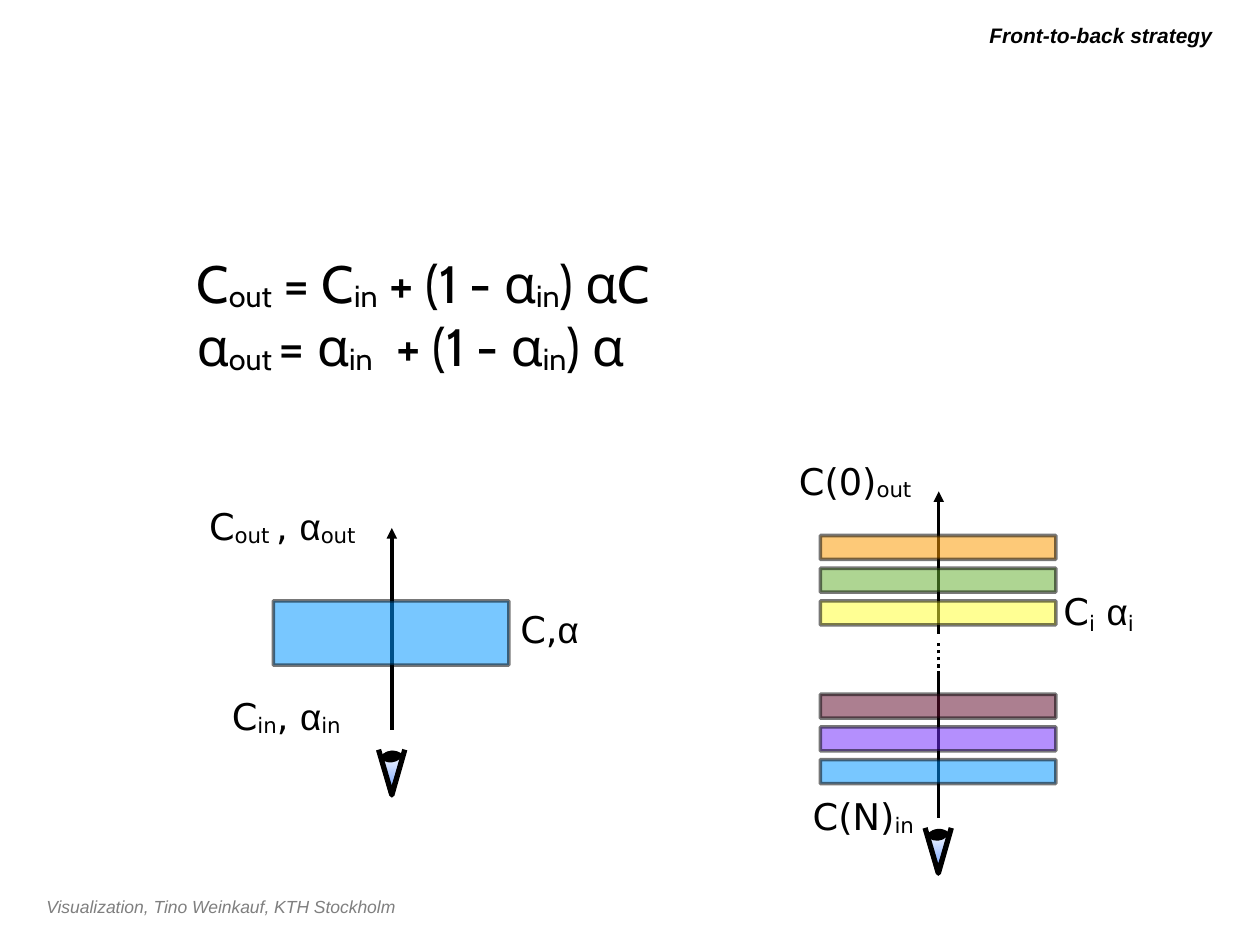
from lxml import etree
from pptx import Presentation
from pptx.dml.color import RGBColor
from pptx.enum.dml import MSO_LINE
from pptx.enum.shapes import MSO_CONNECTOR, MSO_SHAPE
from pptx.enum.text import MSO_ANCHOR, PP_ALIGN
from pptx.oxml.ns import qn
from pptx.util import Pt

STRAIGHT = MSO_CONNECTOR.STRAIGHT
DOTTED = MSO_LINE.ROUND_DOT
RECTANGLE, OVAL = MSO_SHAPE.RECTANGLE, MSO_SHAPE.OVAL
TOP, MIDDLE = MSO_ANCHOR.TOP, MSO_ANCHOR.MIDDLE
LEFT, RIGHT = PP_ALIGN.LEFT, PP_ALIGN.RIGHT

BLACK = RGBColor(0x00, 0x00, 0x00)
WHITE = RGBColor(0xFF, 0xFF, 0xFF)
GRAY = RGBColor(0x7F, 0x7F, 0x7F)
DARK = RGBColor(0x33, 0x33, 0x33)
EYE_BLUE = RGBColor(0x66, 0x99, 0xFF)
BLUE = RGBColor(0x00, 0x96, 0xFF)
PURPLE = RGBColor(0x72, 0x2C, 0xFD)
WINE = RGBColor(0x64, 0x0E, 0x2F)
YELLOW = RGBColor(0xFF, 0xFF, 0x33)
GREEN = RGBColor(0x66, 0xB1, 0x32)
ORANGE = RGBColor(0xFD, 0x9A, 0x00)


def add_caption(s, box, text, size, color, bold=False, align=LEFT):
    """Place an italic one-line caption in the box."""
    tf = s.shapes.add_textbox(*map(Pt, box)).text_frame
    tf.word_wrap = True
    p = tf.paragraphs[0]
    p.text, p.alignment = text, align
    font = p.runs[0].font
    font.name, font.size, font.color.rgb = "Arial", Pt(size), color
    font.bold, font.italic = bold, True


def add_math(s, box, lines, size=21, name="DejaVu Sans", greek="Arial", drop=-7, anchor=TOP):
    """Place lines whose pieces alternate between base text and subscript."""
    tf = s.shapes.add_textbox(*map(Pt, box)).text_frame
    tf.word_wrap, tf.vertical_anchor = False, anchor
    tf.margin_left = tf.margin_right = tf.margin_top = tf.margin_bottom = 0
    for i, pieces in enumerate(lines):
        p = tf.add_paragraph() if i else tf.paragraphs[0]
        for j, text in enumerate(pieces):
            if not text:
                continue
            r = p.add_run()
            r.text = text
            r.font.name = greek if text == "α" else name
            r.font.size, r.font.color.rgb = Pt(size), BLACK
            if j % 2:
                r.font._element.set("baseline", str(drop * 1000))


def add_ray(s, x, start, end, arrow=False, dash=None):
    """Draw a vertical ray from start to end, with an optional arrowhead."""
    line = s.shapes.add_connector(STRAIGHT, Pt(x), Pt(start), Pt(x), Pt(end))
    line.line.width, line.line.color.rgb = Pt(2), BLACK
    if dash:
        line.line.dash_style = dash
    if arrow:
        etree.SubElement(line.line._get_or_add_ln(), qn("a:tailEnd"), type="triangle")
    etree.SubElement(line._element.spPr, qn("a:effectLst"))


def add_slab(s, box, color):
    """Draw a see-through slab of the volume."""
    sp = s.shapes.add_shape(RECTANGLE, *map(Pt, box))
    sp.shadow.inherit = False
    sp.fill.solid()
    sp.fill.fore_color.rgb = color
    sp.line.color.rgb, sp.line.width = BLACK, Pt(2)
    for clr in sp._element.spPr.iter(qn("a:srgbClr")):
        etree.SubElement(clr, qn("a:alpha"), val="53000")


def bezier(points, steps=8):
    """Return points along a cubic curve, without its first point."""
    def at(t):
        weights = ((1 - t) ** 3, 3 * t * (1 - t) ** 2, 3 * t * t * (1 - t), t ** 3)
        return tuple(sum(w * pt[k] for w, pt in zip(weights, points)) for k in (0, 1))
    return [at(i / steps) for i in range(1, steps + 1)]


def add_eye(s, left, top):
    """Draw a viewer's eye looking up, 15 by 26 points."""
    shapes = s.shapes.add_group_shape().shapes

    def outline(points, width, close):
        fb = shapes.build_freeform(Pt(left + points[0][0]), Pt(top + points[0][1]))
        fb.add_line_segments([(Pt(left + x), Pt(top + y)) for x, y in points[1:]], close=close)
        sp = fb.convert_to_shape()
        sp.shadow.inherit = False
        sp.line.color.rgb, sp.line.width = BLACK, Pt(width)
        return sp

    corners = [(1.5, 5), (2.2, 8.6), (2.9, 9.4), (7.2, 25.2),
               (10.8, 14.4), (11.5, 12.2), (13.7, 4.3),
               (12.2, 2.2), (6.5, -0.7), (1.5, 5)]
    edge = corners[:1]
    for i in (0, 3, 6):
        edge += bezier(corners[i:i + 4])
    ball = outline(edge, 2.25, True)
    ball.fill.gradient()
    ball.fill.gradient_angle = 90
    for stop, color in zip(ball.fill.gradient_stops, (EYE_BLUE, WHITE)):
        stop.color.rgb = color
    outline([(0, 0), (7.6, 25.9), (15, 0)], 3, False).fill.background()

    for w, h, color, width in ((8.6, 4.3, DARK, 2.25), (5, 1.4, BLACK, 1.5)):
        sp = shapes.add_shape(OVAL, Pt(left + 7.3 - w / 2), Pt(top + 4 - h / 2), Pt(w), Pt(h))
        sp.shadow.inherit = False
        sp.rotation = -5.6
        sp.fill.solid()
        sp.fill.fore_color.rgb = color
        sp.line.color.rgb, sp.line.width = BLACK, Pt(width)


def add_single_slab(s, left, top):
    """Draw one slab with its ray, eye and labels."""
    x = left + 104.4
    add_eye(s, x - 7.6, top + 140.4)
    add_ray(s, x, top + 128.9, top + 13.7, arrow=True)
    add_slab(s, (left + 36.7, top + 55.4, 134.6, 36.7), BLUE)
    add_math(s, (left, top, 93.6, 25.2), [("C", "out ", ", ", "", "α", "out")])
    add_math(s, (left + 13, top + 108.7, 69.1, 25.2), [("C", "in", ", ", "", "α", "in")])
    add_math(s, (left + 177.8, top + 59, 35.3, 25.2), [("C,", "", "α")])


def add_slab_stack(s, left, top):
    """Draw two stacks of slabs along a ray, with eye and labels."""
    x = left + 79.9
    add_eye(s, x - 7.8, top + 211)
    add_ray(s, x, top + 205.2, top + 123.8)
    add_ray(s, x, top + 100.1, top + 18.7, arrow=True)
    add_ray(s, x, top + 127.4, top + 105.1, dash=DOTTED)
    stacks = ((43.9, (ORANGE, GREEN, YELLOW)), (134.6, (WINE, PURPLE, BLUE)))
    for offset, colors in stacks:
        for i, color in enumerate(colors):
            add_slab(s, (left + 12.3, top + offset + 18.7 * i, 134.6, 13.7), color)
    add_math(s, (left, top, 71.3, 25.9), [("C(0)", "out")])
    add_math(s, (left + 7.9, top + 191.5, 63.4, 25.9), [("C(N)", "in")])
    add_math(s, (left + 151.2, top + 74.2, 41.8, 25.2), [("C", "i", " ", "", "α", "i")], drop=-17)


def main():
    """Build the slide and save it."""
    prs = Presentation()
    prs.slide_width, prs.slide_height = Pt(720), Pt(540)
    s = prs.slides.add_slide(prs.slide_layouts[6])
    add_caption(s, (19.4, 508.3, 532, 19.4), "Visualization, Tino Weinkauf, KTH Stockholm", 10, GRAY)
    add_caption(s, (113.8, 9.4, 586, 22.3), "Front-to-back strategy", 12, BLACK, True, RIGHT)
    formulas = [("C", "out", " = C", "in", " + (1 - α", "in", ") αC"),
                ("α", "out ", "= α", "in", "  + (1 - α", "in", ") α")]
    add_math(s, (112.3, 143.3, 301.7, 72.7), formulas, 30, "Cabin", "Cabin", -6, MIDDLE)
    add_single_slab(s, 119.5, 288)
    add_slab_stack(s, 456.5, 262.1)
    prs.save("out.pptx")


if __name__ == "__main__":
    main()
